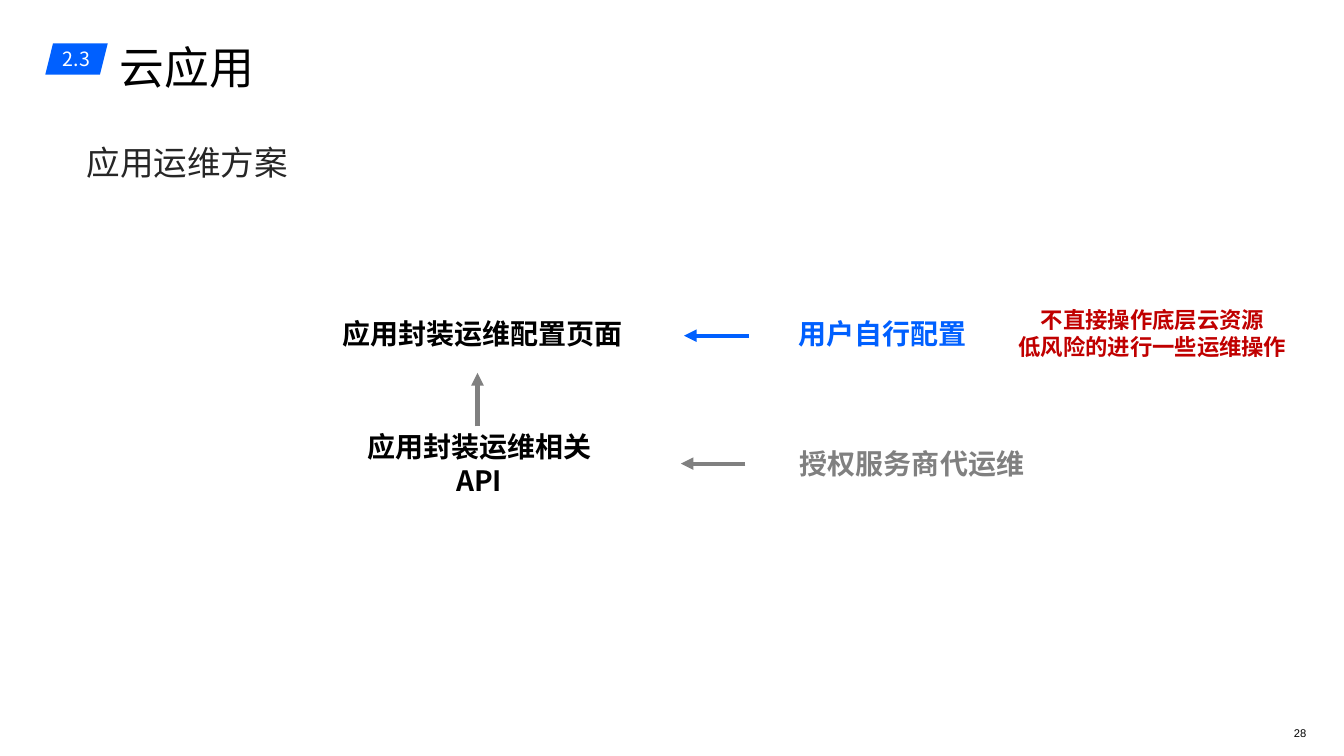
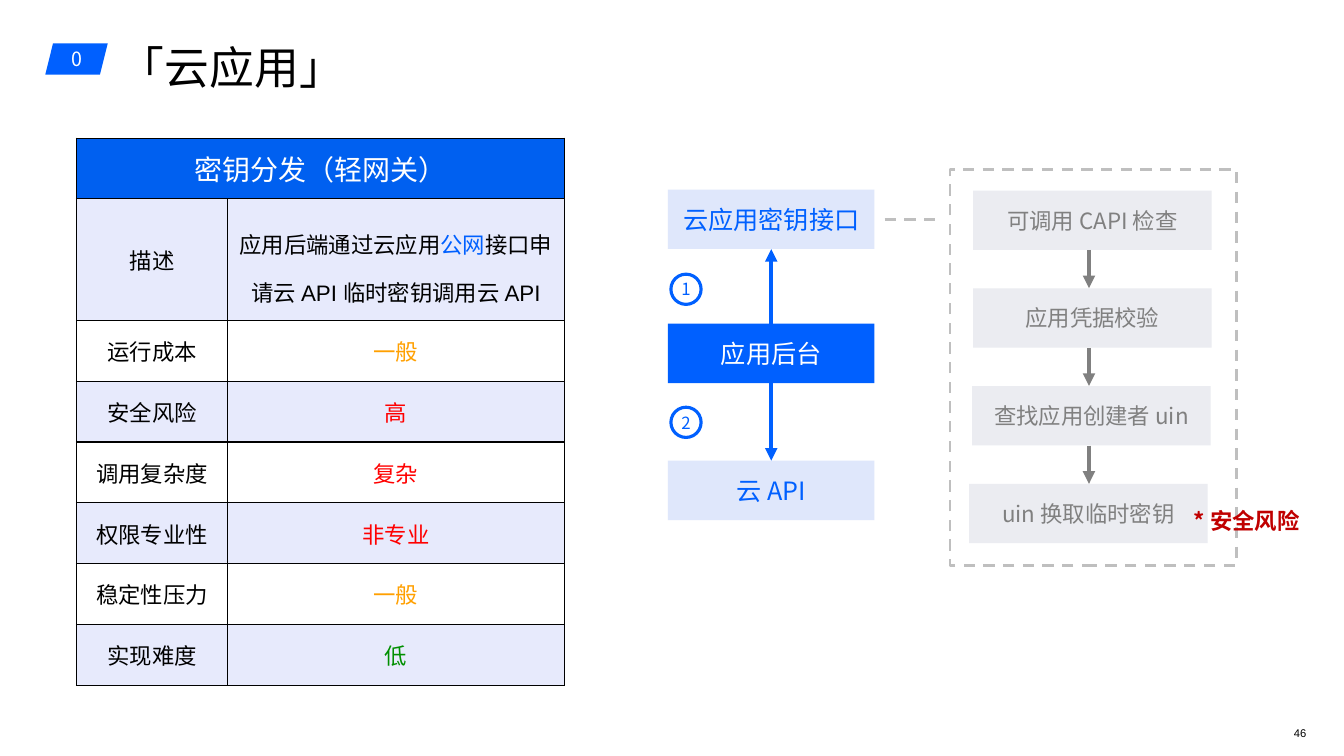
from dataclasses import dataclass
from itertools import pairwise
from lxml.etree import SubElement
from pptx import Presentation
from pptx.dml.color import RGBColor
from pptx.enum.dml import MSO_LINE
from pptx.enum.lang import MSO_LANGUAGE_ID
from pptx.enum.shapes import MSO_CONNECTOR, MSO_SHAPE
from pptx.enum.text import MSO_ANCHOR, PP_ALIGN
from pptx.oxml import parse_xml
from pptx.oxml.ns import nsdecls, qn
from pptx.util import Inches, Pt


@dataclass(frozen=True)
class Theme:
    """Hold the colours, fonts and type sizes of the deck."""
    blue: str = "0060FF"
    header_blue: str = "0060F0"
    pale_blue: str = "DFE7FB"
    band: str = "E7EAFC"
    pale_grey: str = "EBECF1"
    grey: str = "808080"
    frame_grey: str = "BFBFBF"
    ink: str = "000000"
    soft_ink: str = "262626"
    white: str = "FFFFFF"
    warning: str = "C00000"
    red: str = "FF0000"
    amber: str = "FFA000"
    green: str = "008F00"
    font: str = "Noto Sans CJK JP"
    latin: str = "Arial"
    title: int = 32
    subtitle: int = 24
    large: int = 20
    node: int = 18
    body: int = 16
    badge: int = 14
    marker: int = 12
    footer: int = 8


@dataclass(frozen=True)
class Box:
    """Describe an area on a page grid of 100 columns and 100 rows."""
    left: float
    top: float
    width: float = 0
    height: float = 0

    def area(self, left, top, width=0, height=0):
        """Return an area placed relative to this one."""
        return Box(self.left + left, self.top + top, width, height)

    def lengths(self):
        """Return left, top, width and height as slide lengths."""
        return (across(self.left), down(self.top), across(self.width), down(self.height))


THEME = Theme()
PAGE_WIDTH, PAGE_HEIGHT = Inches(13.34), Inches(7.5)
NODE_HEIGHT = 7.87
TIGHT = Inches(0.06)


def across(columns):
    """Turn grid columns into a length."""
    return round(PAGE_WIDTH * columns / 100)


def down(rows):
    """Turn grid rows into a length."""
    return round(PAGE_HEIGHT * rows / 100)


def assign(target, values):
    """Set every attribute in a dict of format values."""
    for name, value in values.items():
        setattr(target, name, value)


def write(frame, paragraphs, size, color, bold=False, font=THEME.font,
          align=PP_ALIGN.CENTER, spacing=None):
    """Fill a text frame; a paragraph is a string or a list of text and colour pairs."""
    for index, content in enumerate(paragraphs):
        para = frame.paragraphs[0] if index == 0 else frame.add_paragraph()
        assign(para, {"alignment": align, "line_spacing": spacing})
        pairs = [(content, color)] if isinstance(content, str) else content
        for text, span_color in pairs:
            span = para.add_run()
            span.text = text
            assign(span.font, {"size": Pt(size), "bold": bold, "name": font,
                               "language_id": MSO_LANGUAGE_ID.SIMPLIFIED_CHINESE})
            span.font.color.rgb = RGBColor.from_string(span_color)
            SubElement(span.font._element, qn("a:ea"), typeface=THEME.font)


def set_frame(frame, anchor, inset, wrap=True):
    """Set the anchor, wrapping and insets of a text frame."""
    assign(frame, {"vertical_anchor": anchor, "word_wrap": wrap})
    if inset is not None:
        sides = ("left", "right", "top", "bottom")
        assign(frame, {f"margin_{side}": inset for side in sides})


def add_text(page, box, paragraphs, size, color, anchor=MSO_ANCHOR.TOP,
             inset=None, wrap=True, **style):
    """Add a text box."""
    frame = page.shapes.add_textbox(*box.lengths()).text_frame
    set_frame(frame, anchor, inset, wrap)
    write(frame, paragraphs, size, color, **style)


def style_line(line, color, weight, dashed=False):
    """Set the colour, weight and dash of a line."""
    line.color.rgb = RGBColor.from_string(color)
    line.width = Pt(weight)
    if dashed:
        line.dash_style = MSO_LINE.DASH


def add_node(page, box, text, size, color, fill, kind=MSO_SHAPE.RECTANGLE, outline=None):
    """Add a filled shape with centred text."""
    shape = page.shapes.add_shape(kind, *box.lengths())
    shape.shadow.inherit = False
    shape.fill.solid()
    shape.fill.fore_color.rgb = RGBColor.from_string(fill)
    if outline:
        style_line(shape.line, outline, 2.25)
    else:
        shape.line.fill.background()
    set_frame(shape.text_frame, MSO_ANCHOR.MIDDLE, TIGHT)
    write(shape.text_frame, [text], size, color)


def add_line(page, start, end, color, weight=3, dashed=False, arrow=True):
    """Add a straight line from one grid point to another."""
    line = page.shapes.add_connector(
        MSO_CONNECTOR.STRAIGHT, across(start.left), down(start.top),
        across(end.left), down(end.top))
    style_line(line.line, color, weight, dashed)
    if arrow:
        SubElement(line.get_or_add_ln(), qn("a:tailEnd"), type="triangle")
    SubElement(line._element.spPr, qn("a:effectLst"))


def add_page(deck, number, badge, title):
    """Add a blank page with its badge, title and page number."""
    page = deck.slides.add_slide(deck.slide_layouts[6])
    add_text(page, Box(95.8, 95.33, 1.87, 3.33), [number], THEME.footer, THEME.ink,
             inset=TIGHT, wrap=False, font=THEME.latin)
    header = Box(3.37, 3.87, 40.55, 8)
    add_text(page, header.area(5.55, 0, 35, 8), [title], THEME.title, THEME.ink,
             inset=0, align=PP_ALIGN.LEFT, spacing=1.2)
    add_node(page, header.area(0, 1.86, 4.65, 4.13), badge, THEME.badge,
             THEME.white, THEME.blue, MSO_SHAPE.PARALLELOGRAM)
    return page


def add_operations_flow(page, box):
    """Draw the operations flow with its actors and note."""
    upper, lower = 1.2, 18.4
    labels = [
        (0, upper, 21.9, "应用封装运维配置页面", THEME.ink, False),
        (0.2, lower, 21, "应用封装运维相关 API", THEME.ink, True),
        (33.96, upper, 13.5, "用户自行配置", THEME.blue, False),
        (33.8, lower, 18.2, "授权服务商代运维", THEME.grey, False),
    ]
    for left, top, width, text, color, wrap in labels:
        add_text(page, box.area(left, top, width, 6), [text], THEME.large, color,
                 MSO_ANCHOR.MIDDLE, TIGHT, wrap, bold=True)
    arrows = [
        ((10.57, 16.53), (10.57, 9.46), THEME.grey),
        ((30.74, 4.53), (25.94, 4.53), THEME.blue),
        ((30.5, 21.46), (25.7, 21.46), THEME.grey),
    ]
    for start, end, color in arrows:
        add_line(page, box.area(*start), box.area(*end), color)
    add_text(page, box.area(46.55, 0, 28.5, 8.53),
             ["不直接操作底层云资源", "低风险的进行一些运维操作"],
             THEME.body, THEME.warning, bold=True)


def fill_cell(cell, content, size, color, fill, spacing=None):
    """Write a table cell and give it a fill and thin borders."""
    cell.vertical_anchor = MSO_ANCHOR.MIDDLE
    cell.fill.solid()
    cell.fill.fore_color.rgb = RGBColor.from_string(fill)
    if content:
        write(cell.text_frame, [content], size, color, font=THEME.latin, spacing=spacing)
    properties = cell._tc.get_or_add_tcPr()
    for index, side in enumerate("LRTB"):
        properties.insert(index, parse_xml(
            f'<a:ln{side} {nsdecls("a")} w="12700"><a:solidFill>'
            f'<a:srgbClr val="{THEME.ink}"/></a:solidFill></a:ln{side}>'))


def add_key_table(page, box):
    """Add the comparison table for key distribution."""
    description = [("应用后端通过云应用", THEME.ink), ("公网", THEME.blue),
                   ("接口申请云 API 临时密钥调用云 API", THEME.ink)]
    rows = [
        ("描述", description, THEME.ink),
        ("运行成本", "一般", THEME.amber),
        ("安全风险", "高", THEME.red),
        ("调用复杂度", "复杂", THEME.red),
        ("权限专业性", "非专业", THEME.red),
        ("稳定性压力", "一般", THEME.amber),
        ("实现难度", "低", THEME.green),
    ]
    table = page.shapes.add_table(len(rows) + 1, 2, *box.lengths()).table
    assign(table, {"first_row": False, "horz_banding": False})
    for column, share in zip(table.columns, (0.31, 0.69)):
        column.width = across(box.width * share)
    for index, row in enumerate(table.rows):
        row.height = down(box.height / 9 * (2 if index == 1 else 1))
    table.cell(0, 0).merge(table.cell(0, 1))
    for column, text in enumerate(("密钥分发（轻网关）", "")):
        fill_cell(table.cell(0, column), text, THEME.large, THEME.white, THEME.header_blue)
    for index, (name, value, color) in enumerate(rows, 1):
        fill = THEME.band if index % 2 else THEME.white
        fill_cell(table.cell(index, 0), name, THEME.body, THEME.ink, fill)
        fill_cell(table.cell(index, 1), value, THEME.body, color, fill,
                  1.5 if index == 1 else None)


def add_key_requests(page, box):
    """Draw the backend between the key interface and the cloud interface."""
    middle = box.width / 2
    interface, backend, cloud = 0, 17.73, 35.87
    nodes = [
        (interface, "云应用密钥接口", THEME.blue, THEME.pale_blue),
        (backend, "应用后台", THEME.white, THEME.blue),
        (cloud, "云 API", THEME.blue, THEME.pale_blue),
    ]
    for top, text, color, fill in nodes:
        add_node(page, box.area(0, top, box.width, NODE_HEIGHT), text, THEME.node, color, fill)
    for start, end in ((backend, interface + NODE_HEIGHT), (backend + NODE_HEIGHT, cloud)):
        add_line(page, box.area(middle, start), box.area(middle, end), THEME.blue)
    for top, text in ((11.2, "1"), (28.8, "2")):
        add_node(page, box.area(0.22, top, 2.25, 4), text, THEME.marker, THEME.blue,
                 THEME.white, MSO_SHAPE.OVAL, THEME.blue)


def add_check_steps(page, box):
    """Draw the dashed panel with its chain of checks and the warning."""
    panel = page.shapes.add_shape(MSO_SHAPE.RECTANGLE, *box.lengths())
    panel.shadow.inherit = False
    panel.fill.background()
    style_line(panel.line, THEME.frame_grey, 2, True)
    add_line(page, box.area(-4.87, 6.67), box.area(-1.12, 6.67),
             THEME.frame_grey, 2, True, False)
    steps = [(1.72, "可调用 CAPI 检查"), (1.72, "应用凭据校验"),
             (1.65, "查找应用创建者 uin"), (1.42, "uin 换取临时密钥")]
    tops = [2.8 + 12.93 * index for index in range(len(steps))]
    for top, (left, text) in zip(tops, steps):
        add_node(page, box.area(left, top, 17.74, NODE_HEIGHT), text, THEME.body,
                 THEME.grey, THEME.pale_grey)
    for top, following in pairwise(tops):
        add_line(page, box.area(10.34, top + NODE_HEIGHT), box.area(10.34, following),
                 THEME.grey)
    add_text(page, box.area(16.79, 42.27, 10.57, 6.13), ["* 安全风险"], THEME.body,
             THEME.warning, bold=True, spacing=1.5)


def main():
    """Build and save the deck."""
    deck = Presentation()
    assign(deck, {"slide_width": PAGE_WIDTH, "slide_height": PAGE_HEIGHT})
    page = add_page(deck, "28", "2.3", "云应用")
    add_text(page, Box(5.7, 15.47, 46.93, 8.53), ["应用运维方案"], THEME.subtitle,
             THEME.soft_ink, align=PP_ALIGN.LEFT, spacing=1.5)
    add_operations_flow(page, Box(24.96, 39.87, 75.04, 25))
    page = add_page(deck, "46", "0", "「云应用」")
    add_key_table(page, Box(5.7, 18.27, 36.28, 72.4))
    add_key_requests(page, Box(49.7, 25.07, 15.37, 43.73))
    add_check_steps(page, Box(70.69, 22.4, 21.29, 52.4))
    deck.save("out.pptx")


if __name__ == "__main__":
    main()
